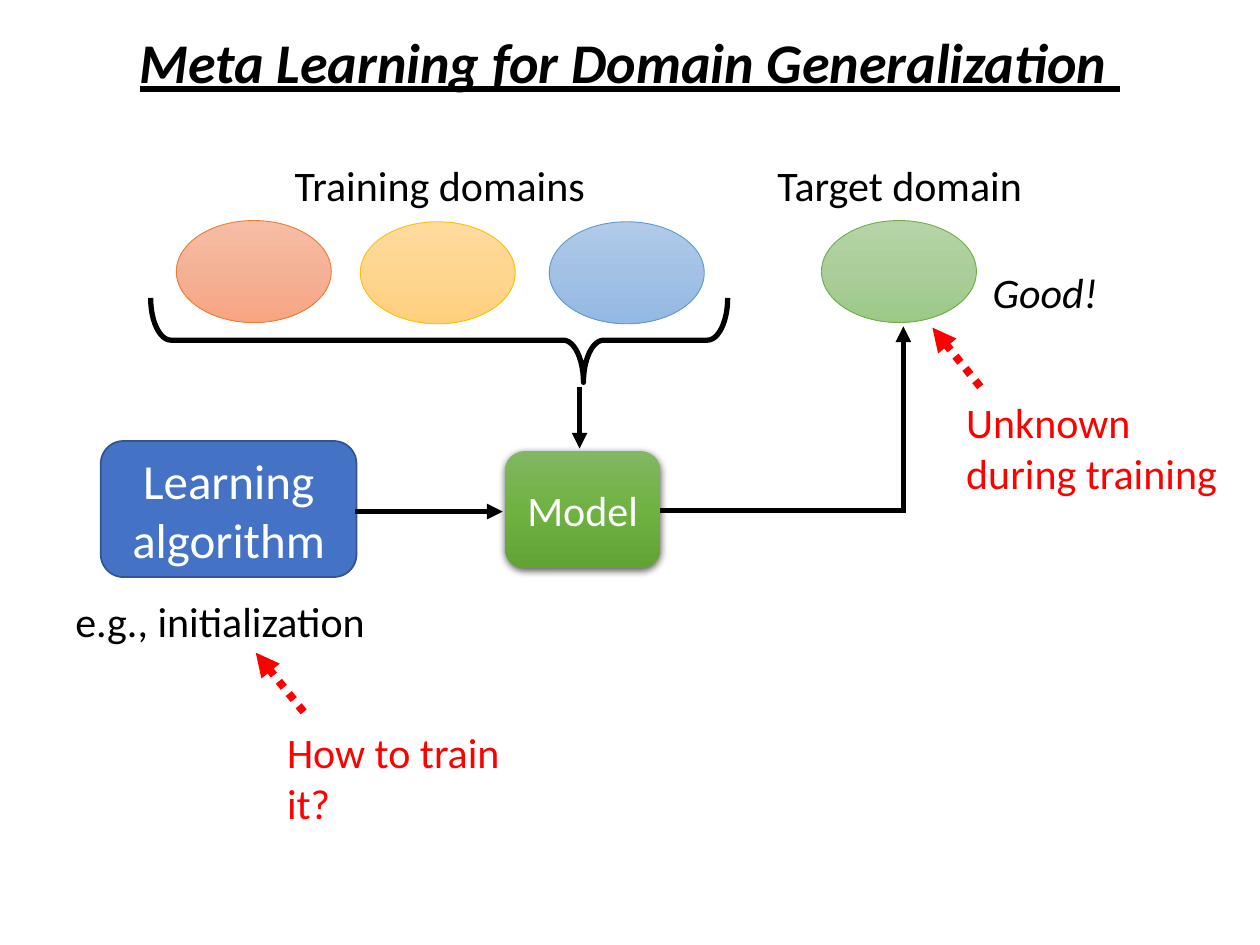
"""Build the slide on meta learning for domain generalization."""
from copy import deepcopy

from lxml.etree import SubElement
from pptx import Presentation
from pptx.dml.color import RGBColor
from pptx.enum.dml import MSO_LINE as Dash
from pptx.enum.shapes import MSO_CONNECTOR as Link, MSO_SHAPE as Shape
from pptx.enum.text import MSO_ANCHOR as Anchor, MSO_AUTO_SIZE as Fit, PP_ALIGN as Align
from pptx.oxml.ns import qn
from pptx.util import Inches, Pt

COLUMNS, ROWS = 100, 75
CELL = Inches(10) / COLUMNS
BLACK, WHITE, RED = "000000", "FFFFFF", "FF0000"
OVAL_WIDTH, OVAL_HEIGHT = 12.3, 8.1


def grid(*cells):
    """Turn counts of grid cells into lengths."""
    return [round(cell * CELL) for cell in cells]


def paint(target, color):
    """Give a colour format the colour of a hex string."""
    target.rgb = RGBColor.from_string(color)


def fill_solid(fill, color):
    """Fill with one colour."""
    fill.solid()
    paint(fill.fore_color, color)


def fill_gradient(fill, colors):
    """Fill from top to bottom with three evenly spaced colours."""
    fill.gradient()
    fill.gradient_angle = 270
    stops = fill._fill._gradFill.find(qn("a:gsLst"))
    stops.insert(1, deepcopy(stops[0]))
    for index, (stop, color) in enumerate(zip(fill.gradient_stops, colors)):
        stop.position = index / 2
        paint(stop.color, color)


def outline(line, color, width):
    """Draw a line in one colour and width."""
    fill_solid(line.fill, color)
    line.width = Pt(width)


def write(frame, text, size, color, align=Align.LEFT, **styles):
    """Write one paragraph with one run."""
    frame.word_wrap = True
    para = frame.paragraphs[0]
    para.alignment = align
    span = para.add_run()
    span.text = text
    font = span.font
    font.name, font.size = "Calibri", Pt(size)
    paint(font.color, color)
    for name, value in styles.items():
        setattr(font, name, value)


def add_label(page, place, text, size=24, color=BLACK, **options):
    """Add a text box that fits its text."""
    box = page.shapes.add_textbox(*grid(*place))
    write(box.text_frame, text, size, color, **options)
    box.text_frame.auto_size = Fit.SHAPE_TO_FIT_TEXT


def add_plain_shape(page, kind, place):
    """Add a preset shape without a shadow."""
    shape = page.shapes.add_shape(kind, *grid(*place))
    shape.shadow.inherit = False
    return shape


def add_domain(page, left, top, colors, edge):
    """Add the oval of one domain."""
    oval = add_plain_shape(page, Shape.OVAL, (left, top, OVAL_WIDTH, OVAL_HEIGHT))
    fill_gradient(oval.fill, colors)
    outline(oval.line, edge, 0.5)


def add_brace(page, place):
    """Add the brace that gathers the training domains."""
    brace = add_plain_shape(page, Shape.RIGHT_BRACE, place)
    brace.rotation = 90
    brace.adjustments[0], brace.adjustments[1] = 0.24, 0.25
    brace.fill.background()
    outline(brace.line, BLACK, 3)


def add_block(page, place, text, size):
    """Add a rounded block with centred white text."""
    block = add_plain_shape(page, Shape.ROUNDED_RECTANGLE, place)
    block.text_frame.vertical_anchor = Anchor.MIDDLE
    write(block.text_frame, text, size, WHITE, Align.CENTER)
    return block


def drop_shadow(shape):
    """Cast a soft shadow straight down."""
    effects = shape._element.spPr.find(qn("a:effectLst"))
    shadow = SubElement(effects, qn("a:outerShdw"), blurRad=str(Pt(4.5)),
                        dist=str(Pt(1.5)), dir="5400000", algn="ctr", rotWithShape="0")
    color = SubElement(shadow, qn("a:srgbClr"), val=BLACK)
    SubElement(color, qn("a:alpha"), val="63000")


def add_line(page, start, end, color=BLACK, width=3, dash=None, arrow=True):
    """Add a straight line, with an arrowhead at its end if wanted."""
    link = page.shapes.add_connector(Link.STRAIGHT, *grid(*start, *end))
    outline(link.line, color, width)
    if dash:
        link.line.dash_style = dash
    if arrow:
        SubElement(link.line._get_or_add_ln(), qn("a:tailEnd"), type="triangle")
    SubElement(link._element.spPr, qn("a:effectLst"))


def add_hint(page, left, top):
    """Add a dotted red arrow that points up and left."""
    add_line(page, (left + 3.8, top + 4.7), (left, top), RED, 4.5, Dash.ROUND_DOT)


def main():
    """Build and save the deck."""
    deck = Presentation()
    deck.slide_width, deck.slide_height = grid(COLUMNS, ROWS)
    page = deck.slides.add_slide(deck.slide_layouts[6])

    add_label(page, (9.7, 1.7, 80.6, 6.4), "Meta Learning for Domain Generalization ", 32,
              align=Align.CENTER, bold=True, italic=True, underline=True)

    domains = [
        (14, 17.5, ("F7BDA5", "F5B196", "F8A582"), "ED7D31"),
        (28.6, 17.6, ("FFDB9E", "FFD590", "FFD07C"), "FFC000"),
        (43.6, 17.6, ("B1CBE9", "A3C1E5", "93B9E4"), "5B9BD5"),
        (65.2, 17.5, ("B5D5A7", "AACE9A", "9CC987"), "70AD47"),
    ]
    for domain in domains:
        add_domain(page, *domain)
    for left, text in ((18.9, "Training domains"), (55.4, "Target domain")):
        add_label(page, (left, 12.2, 32, 5), text, align=Align.CENTER)
    add_brace(page, (31.5, 4.1, 6.7, 45.8))

    model = add_block(page, (40.1, 35.8, 12.3, 9.3), "Model", 24)
    fill_gradient(model.fill, ("81B861", "6FB242", "62A336"))
    model.line.fill.background()
    drop_shadow(model)
    learner = add_block(page, (8, 35, 20.3, 10.8), "Learning algorithm", 28)
    fill_solid(learner.fill, "4472C4")
    outline(learner.line, "325491", 1)

    add_line(page, (28.2, 40.6), (39.9, 40.6))
    add_line(page, (46, 30.7), (46, 35.6))
    add_line(page, (71.7, 40.6), (71.7, 25.9))
    add_line(page, (52.4, 40.5), (71.9, 40.5), arrow=False)
    add_hint(page, 74, 26)
    add_hint(page, 20.3, 51.8)

    add_label(page, (5, 46.8, 26.7, 5), "e.g., initialization")
    add_label(page, (77.8, 20.7, 18.1, 5), "Good!", italic=True)
    add_label(page, (75.7, 31, 22.5, 9.1), "Unknown during training", color=RED)
    add_label(page, (21.8, 57.2, 22.5, 5), "How to train it?", color=RED)
    deck.save("out.pptx")


if __name__ == "__main__":
    main()
